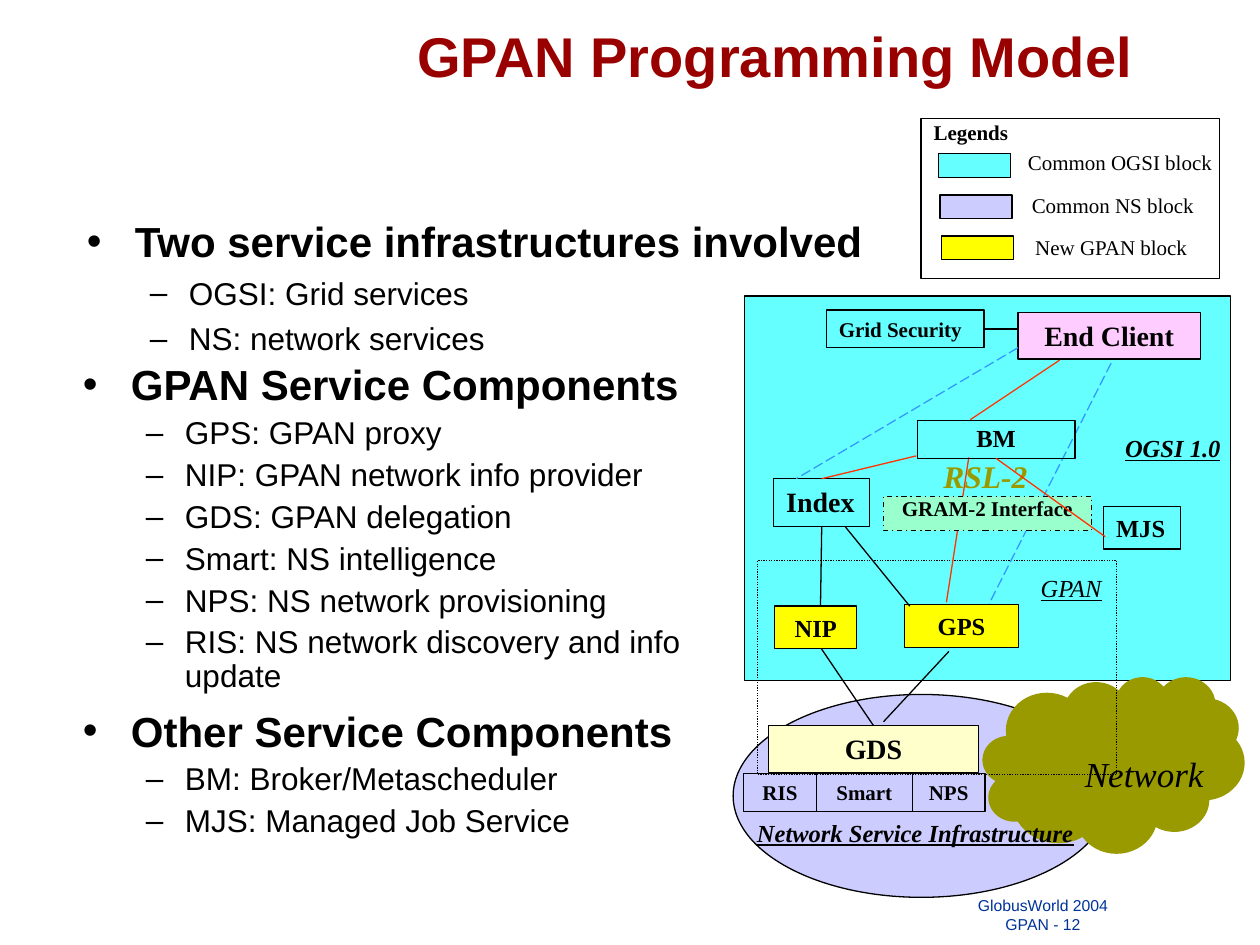
from lxml.etree import SubElement
from pptx import Presentation
from pptx.dml.color import RGBColor
from pptx.enum.dml import MSO_LINE
from pptx.enum.shapes import MSO_CONNECTOR, MSO_SHAPE
from pptx.enum.text import MSO_ANCHOR, PP_ALIGN
from pptx.oxml.ns import qn
from pptx.util import Cm, Pt

COLORS = {
    "black": "000000", "title": "990000", "footer": "003399", "ogsi": "66FFFF",
    "ns": "CCCCFF", "new": "FFFF00", "client": "FFCCFF", "delegation": "FFFFCC",
    "gram": "99FFCC", "olive": "999900", "red": "FF3300", "blue": "3399FF",
}
COLORS = {name: RGBColor.from_string(value) for name, value in COLORS.items()}
LEFT, CENTER, RIGHT = PP_ALIGN.LEFT, PP_ALIGN.CENTER, PP_ALIGN.RIGHT
SERIF = "Times New Roman"

prs = Presentation()
prs.slide_width, prs.slide_height = Cm(25.4), Cm(19.05)
slide = prs.slides.add_slide(prs.slide_layouts[5])
shapes = slide.shapes


def write(frame, text, size, align=LEFT, style="", color="black", face=SERIF):
    frame.text = text
    for paragraph in frame.paragraphs:
        paragraph.alignment = align
        for run in paragraph.runs:
            font = run.font
            font.name, font.size = face, Pt(size)
            font.bold, font.italic = "b" in style, "i" in style
            font.underline = "u" in style
            font.color.rgb = COLORS[color]


def add_line(start, end, color="black", dash=None):
    line = shapes.add_connector(MSO_CONNECTOR.STRAIGHT, *map(Cm, start + end))
    line.line.color.rgb = COLORS[color]
    line.line.width = Pt(0.75)
    line.line.dash_style = dash
    SubElement(line._element.spPr, qn("a:effectLst"))
    return line


title = shapes.title
title.left, title.top, title.width, title.height = Cm(1.83), Cm(0), Cm(21.26), Cm(2.24)
title.text_frame.vertical_anchor = MSO_ANCHOR.MIDDLE
write(title.text_frame, "GPAN Programming Model", 32, RIGHT, "b", "title", "Arial")

footer = shapes.add_textbox(Cm(18.14), Cm(17.93), Cm(5.77), Cm(1.02))
footer.text_frame.word_wrap = True
write(footer.text_frame, "GlobusWorld 2004\nGPAN - 12", 9, CENTER, "", "footer", "Arial")

outlines = [
    (1.5, 4.22, 21.56, 3.53, 1.0, [
        (0, "Two service infrastructures involved"),
        (1, "OGSI: Grid services"),
        (1, "NS: network services"),
    ]),
    (1.42, 7.11, 13.89, 10.62, 0.9, [
        (0, "GPAN Service Components"),
        (1, "GPS: GPAN proxy"),
        (1, "NIP: GPAN network info provider"),
        (1, "GDS: GPAN delegation"),
        (1, "Smart: NS intelligence"),
        (1, "NPS: NS network provisioning"),
        (1, "RIS: NS network discovery and info update"),
        (0, "Other Service Components"),
        (1, "BM: Broker/Metascheduler"),
        (1, "MJS: Managed Job Service"),
    ]),
]
levels = [("•", 0.97, -0.97, 24, 6), ("–", 2.06, -0.79, 18, 4.5)]
for left, top, width, height, spacing, items in outlines:
    frame = shapes.add_textbox(Cm(left), Cm(top), Cm(width), Cm(height)).text_frame
    frame.word_wrap = True
    frame.text = "\n".join(text for _, text in items)
    for index, (paragraph, (level, _)) in enumerate(zip(frame.paragraphs, items)):
        bullet, margin, indent, size, before = levels[level]
        paragraph.level = level
        paragraph.line_spacing = spacing if level else 1.0
        paragraph.space_before = Pt(before if index else 0)
        properties = paragraph._p.get_or_add_pPr()
        properties.set("marL", str(Cm(margin)))
        properties.set("indent", str(Cm(indent)))
        SubElement(properties, qn("a:buFont"), typeface="Arial")
        SubElement(properties, qn("a:buChar"), char=bullet)
        font = paragraph.runs[0].font
        font.name, font.size, font.bold = "Arial", Pt(size), level == 0
        font.color.rgb = COLORS["black"]

legend_entries = [
    ("Common OGSI block", "ogsi", 20.47, 4.22),
    ("Common NS block", "ns", 20.55, 3.76),
    ("New GPAN block", "new", 20.62, 3.61),
]
areas = [
    (MSO_SHAPE.RECTANGLE, 15.01, 5.97, 9.8, 7.75, "ogsi", None),
    (MSO_SHAPE.OVAL, 14.78, 14, 7.59, 4.09, "ns", None),
    (MSO_SHAPE.CLOUD_CALLOUT, 19.81, 13.64, 5.28, 3.56, "olive", None),
    (MSO_SHAPE.RECTANGLE, 15.27, 11.3, 7.24, 4.32, None, MSO_LINE.ROUND_DOT),
    (MSO_SHAPE.RECTANGLE, 18.57, 2.39, 6.02, 3.23, None, None),
]
areas += [
    (MSO_SHAPE.RECTANGLE, 18.92 + 0.03 * row, 3.1 + 0.83 * row, 1.45, 0.48, fill, None)
    for row, (_, fill, _, _) in enumerate(legend_entries)
]
for kind, left, top, width, height, fill, dash in areas:
    area = shapes.add_shape(kind, Cm(left), Cm(top), Cm(width), Cm(height))
    area.shadow.inherit = False
    if fill:
        area.fill.solid()
        area.fill.fore_color.rgb = COLORS[fill]
    else:
        area.fill.background()
    if kind == MSO_SHAPE.CLOUD_CALLOUT:
        area.adjustments[0], area.adjustments[1] = 0.26, -0.21
        area.line.fill.background()
    else:
        area.line.color.rgb = COLORS["black"]
        area.line.width = Pt(0.75)
        area.line.dash_style = dash

add_line((19.53, 9.22), (19.08, 12.14), "red")
add_line((22.4, 7.32), (19.94, 12.17), "blue", MSO_LINE.LONG_DASH)

components = [
    ("NIP", 15.62, 12.22, 1.65, 0.86, 14, CENTER, "new"),
    ("Index", 15.6, 9.65, 1.93, 0.97, 16, LEFT, None),
    ("BM", 18.49, 8.48, 3.18, 0.76, 14, CENTER, None),
    ("End Client", 20.52, 6.3, 3.68, 0.94, 16, CENTER, "client"),
    ("Grid Security", 16.66, 6.25, 3.18, 0.76, 12, LEFT, None),
    ("GPS", 18.24, 12.19, 2.29, 0.86, 14, CENTER, "new"),
    ("GDS", 15.49, 14.63, 4.24, 0.94, 16, CENTER, "delegation"),
    ("GRAM-2 Interface", 17.81, 10.01, 4.19, 0.69, 12, CENTER, "gram"),
    ("MJS", 22.25, 10.21, 1.55, 0.86, 14, LEFT, None),
    ("RIS", 14.99, 15.6, 1.47, 0.76, 12, CENTER, None),
    ("Smart", 16.46, 15.6, 1.93, 0.76, 12, CENTER, None),
    ("NPS", 18.39, 15.6, 1.47, 0.76, 12, CENTER, None),
]
blocks = {}
for name, left, top, width, height, size, align, fill in components:
    block = shapes.add_shape(MSO_SHAPE.RECTANGLE, Cm(left), Cm(top), Cm(width), Cm(height))
    block.shadow.inherit = False
    if fill:
        block.fill.solid()
        block.fill.fore_color.rgb = COLORS[fill]
    else:
        block.fill.background()
    block.line.color.rgb = COLORS["black"]
    block.line.width = Pt(0.75)
    block.text_frame.word_wrap = True
    block.text_frame.vertical_anchor = MSO_ANCHOR.MIDDLE if fill == "new" else MSO_ANCHOR.TOP
    write(block.text_frame, name, size, align, "b")
    blocks[name] = block
blocks["GRAM-2 Interface"].line.dash_style = MSO_LINE.DASH_DOT
blocks["GRAM-2 Interface"].text_frame.paragraphs[0].line_spacing = 0.7
blocks["BM"].text_frame.paragraphs[0].line_spacing = 0.9

labels = [
    ("Network", 21.62, 15.04, 2.9, 1.12, 20, "i", "black"),
    ("GPAN", 20.73, 11.43, 1.8, 0.86, 14, "iu", "black"),
    ("Network Service Infrastructure", 15.01, 16.36, 6.88, 0.86, 14, "biu", "black"),
    ("OGSI 1.0", 22.43, 8.61, 2.44, 0.86, 14, "biu", "black"),
    ("RSL-2", 18.77, 9.09, 2.18, 1.02, 18, "bi", "olive"),
    ("Legends", 18.57, 2.29, 2.01, 0.76, 12, "b", "black"),
]
labels += [
    (text, left, 2.9 + 0.85 * row, width, 0.76, 12, "", "black")
    for row, (text, _, left, width) in enumerate(legend_entries)
]
for text, left, top, width, height, size, style, color in labels:
    label = shapes.add_textbox(Cm(left), Cm(top), Cm(width), Cm(height))
    label.text_frame.word_wrap = True
    label.text_frame.margin_right = Cm(0)
    write(label.text_frame, text, size, LEFT, style, color)

add_line((21.36, 7.26), (19.56, 8.46), "red")
add_line((17.04, 10.62), (18.34, 12.22))
add_line((19.13, 13.13), (17.81, 14.55))
add_line((20.52, 7.01), (16.05, 9.65), "blue", MSO_LINE.LONG_DASH)
add_line((16.57, 10.62), (16.54, 12.22)).begin_connect(blocks["Index"], 2)
add_line((18.47, 9.19), (16.57, 9.65), "red").end_connect(blocks["Index"], 0)
add_line((19.84, 6.63), (20.5, 6.63)).begin_connect(blocks["Grid Security"], 3)
add_line((16.56, 13.08), (17.61, 14.63)).end_connect(blocks["GDS"], 0)
add_line((20.08, 9.24), (22.28, 10.82), "red").begin_connect(blocks["BM"], 2)

prs.save("out.pptx")
